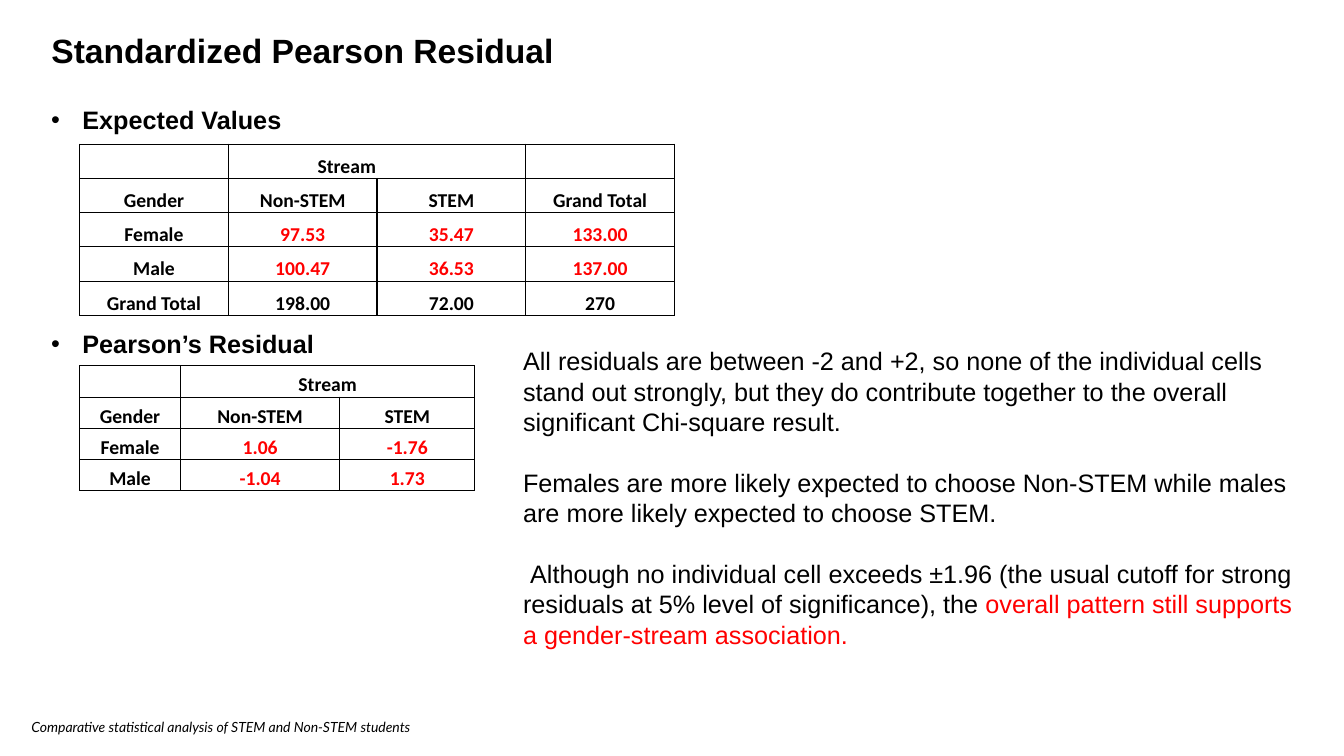
"""Build a slide of expected values and Pearson residuals by gender and stream."""
import dataclasses

import lxml.etree
import pptx
import pptx.dml.color
import pptx.enum.text
import pptx.oxml.ns
import pptx.util

Inches = pptx.util.Inches
Pt = pptx.util.Pt
Align = pptx.enum.text.PP_ALIGN
Anchor = pptx.enum.text.MSO_ANCHOR
qn = pptx.oxml.ns.qn


@dataclasses.dataclass(frozen=True)
class Theme:
    """Hold the colours, fonts and type sizes."""
    ink: str = "000000"
    red: str = "FF0000"
    sans: str = "Arial"
    grid: str = "Calibri"
    foot: str = "Lato"
    head: int = 24
    text: int = 18
    cell: int = 14
    note: int = 10
    line: int = 1


class Page:
    """Draw each kind of element on one slide in one style."""

    def __init__(self, slide, theme):
        self.slide = slide
        self.theme = theme

    def run(self, para, text, size, face=None, hue=None, bold=False, slant=False):
        """Add one styled run."""
        run = para.add_run()
        run.text = text
        font = run.font
        font.size = Pt(size)
        font.name = face or self.theme.sans
        font.bold = bold
        font.italic = slant
        font.color.rgb = pptx.dml.color.RGBColor.from_string(hue or self.theme.ink)

    def title(self, text, box):
        """Place and fill the title."""
        shape = self.slide.shapes.title
        shape.left, shape.top, shape.width, shape.height = map(Inches, box)
        frame = shape.text_frame
        frame.word_wrap = True
        frame.auto_size = pptx.enum.text.MSO_AUTO_SIZE.NONE
        frame.vertical_anchor = Anchor.TOP
        para = frame.paragraphs[0]
        para.alignment = Align.LEFT
        para.line_spacing = 1.0
        para.space_before = Pt(0)
        self.run(para, text, self.theme.head, bold=True)

    def frame(self, box):
        """Add a wrapping text box."""
        frame = self.slide.shapes.add_textbox(*map(Inches, box)).text_frame
        frame.word_wrap = True
        return frame

    def label(self, text, box):
        """Add a bold heading with a bullet."""
        para = self.frame(box).paragraphs[0]
        props = para._p.get_or_add_pPr()
        props.set("marL", str(Inches(0.31)))
        props.set("indent", str(-Inches(0.31)))
        lxml.etree.SubElement(props, qn("a:buFont"), typeface=self.theme.sans)
        lxml.etree.SubElement(props, qn("a:buChar"), char="•")
        self.run(para, text, self.theme.text, bold=True)

    def prose(self, paras, box, gap):
        """Add spaced paragraphs, each a first-line indent and its runs."""
        frame = self.frame(box)
        for num, (inset, parts) in enumerate(paras):
            para = frame.add_paragraph() if num else frame.paragraphs[0]
            para.space_before = Pt(gap if num else 0)
            para._p.get_or_add_pPr().set("indent", str(Inches(inset)))
            for text, hue in parts:
                self.run(para, text, self.theme.text, hue=hue)

    def note(self, text, box):
        """Add the small slanted line at the foot."""
        frame = self.frame(box)
        frame.vertical_anchor = Anchor.MIDDLE
        para = frame.paragraphs[0]
        para.alignment = Align.CENTER
        self.run(para, text, self.theme.note, face=self.theme.foot, slant=True)

    def edges(self, cell, bare):
        """Rule the cell on every side but the bare one."""
        props = cell._tc.get_or_add_tcPr()
        for side in "LRTB":
            line = lxml.etree.SubElement(
                props, qn("a:ln" + side), w=str(Pt(self.theme.line)))
            if side == bare:
                lxml.etree.SubElement(line, qn("a:noFill"))
            else:
                fill = lxml.etree.SubElement(line, qn("a:solidFill"))
                lxml.etree.SubElement(fill, qn("a:srgbClr"), val=self.theme.ink)

    def table(self, rows, left, top, cols, high, merge):
        """Add a ruled table with red cell values for each gender."""
        table = self.slide.shapes.add_table(
            len(rows), len(cols), Inches(left), Inches(top),
            Inches(sum(cols)), Inches(high * len(rows))).table
        table.first_row = table.horz_banding = False
        for col, wide in zip(table.columns, cols):
            col.width = Inches(wide)
        if merge:
            table.cell(0, 1).merge(table.cell(0, 2))
        for r, row in enumerate(rows):
            table.rows[r].height = Inches(high)
            for c, text in enumerate(row):
                cell = table.cell(r, c)
                split = r == 0 and not merge
                self.edges(cell, {1: "R", 2: "L"}.get(c) if split else None)
                cell.fill.background()
                cell.margin_left = cell.margin_right = cell.margin_top = Inches(0.01)
                cell.margin_bottom = 0
                cell.vertical_anchor = Anchor.BOTTOM
                para = cell.text_frame.paragraphs[0]
                para.alignment = Align.RIGHT if split else Align.CENTER
                para.line_spacing = 1.07
                live = row[0] in ("Female", "Male") and c > 0
                self.run(para, text, self.theme.cell, face=self.theme.grid,
                         hue=self.theme.red if live else None, bold=True)


def main():
    """Build and save the slide."""
    deck = pptx.Presentation()
    deck.slide_width, deck.slide_height = Inches(13.33), Inches(7.5)
    theme = Theme()
    page = Page(deck.slides.add_slide(deck.slide_layouts[5]), theme)

    page.title("Standardized Pearson Residual", (0.41, 0.25, 6.67, 0.5))
    page.label("Expected Values", (0.41, 0.99, 6.67, 0.4))
    page.table([
        ("", "Stream", "", ""),
        ("Gender", "Non-STEM", "STEM", "Grand Total"),
        ("Female", "97.53", "35.47", "133.00"),
        ("Male", "100.47", "36.53", "137.00"),
        ("Grand Total", "198.00", "72.00", "270"),
    ], 0.79, 1.43, [1.475] * 4, 0.34, False)
    page.label("Pearson’s Residual", (0.41, 3.21, 4.3, 0.4))
    page.table([
        ("", "Stream", ""),
        ("Gender", "Non-STEM", "STEM"),
        ("Female", "1.06", "-1.76"),
        ("Male", "-1.04", "1.73"),
    ], 0.79, 3.63, [1, 1.58, 1.34], 0.31, True)
    page.prose([
        (0, [("All residuals are between -2 and +2, so none of the individual "
              "cells stand out strongly, but they do contribute together to "
              "the overall significant Chi-square result.", theme.ink)]),
        (0, [("Females are more likely expected to choose Non-STEM while "
              "males are more likely expected to choose STEM.", theme.ink)]),
        (0.07, [("Although no individual cell exceeds ±1.96 (the usual cutoff "
                 "for strong residuals at 5% level of significance), the ",
                 theme.ink),
                ("overall pattern still supports a gender-stream association.",
                 theme.red)]),
    ], (5.09, 3.38, 7.94, 3.74), 22)
    page.note("Comparative statistical analysis of STEM and Non-STEM students",
              (0, 7.01, 4.38, 0.4))
    deck.save("out.pptx")


if __name__ == "__main__":
    main()
